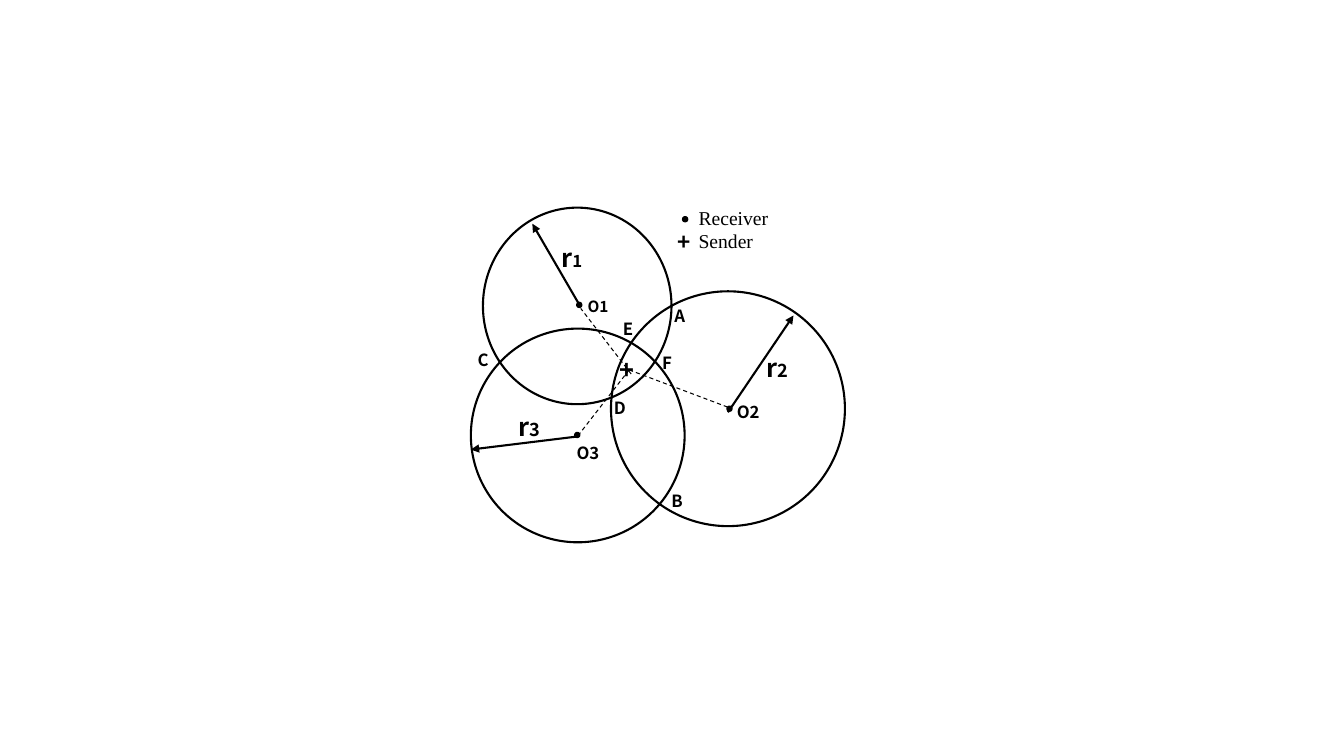
from lxml import etree
from pptx import Presentation
from pptx import util as u
from pptx.dml.color import RGBColor
from pptx.enum import dml, shapes, text
from pptx.oxml.ns import qn

BLACK = "000000"
SANS = "Noto Sans CJK SC"
SERIF = "Times New Roman"


def color(value):
    return RGBColor.from_string(value)


def add_span(para, words, size=12, font=SANS, bold=True, ink=BLACK):
    span = para.add_run()
    span.text = words
    span.font.size = u.Pt(size)
    span.font.name = font
    span.font.bold = bold
    span.font.color.rgb = color(ink)


class Diagram:
    ink = BLACK
    dot_size = 0.05

    def __init__(self, slide):
        self.slide = slide

    def circle(self, left, top, width, height, weight=1.5, fill=None):
        oval = self.slide.shapes.add_shape(
            shapes.MSO_SHAPE.OVAL,
            u.Inches(left), u.Inches(top), u.Inches(width), u.Inches(height))
        oval.shadow.inherit = False
        if fill:
            oval.fill.solid()
            oval.fill.fore_color.rgb = color(fill)
        else:
            oval.fill.background()
        oval.line.color.rgb = color(self.ink)
        oval.line.width = u.Pt(weight)

    def dot(self, left, top):
        self.circle(left, top, self.dot_size, self.dot_size, 1, self.ink)

    def connect(self, start, end, weight):
        line = self.slide.shapes.add_connector(
            shapes.MSO_CONNECTOR.STRAIGHT,
            *(u.Inches(length) for length in (*start, *end)))
        line.line.color.rgb = color(self.ink)
        line.line.width = u.Pt(weight)
        etree.SubElement(line.element.spPr, qn("a:effectLst"))
        return line

    def radius(self, start, end):
        line = self.connect(start, end, 1.5)
        etree.SubElement(line.line._get_or_add_ln(), qn("a:tailEnd"), type="triangle")

    def distance(self, start, end):
        line = self.connect(start, end, 0.75)
        line.line.dash_style = dml.MSO_LINE.DASH

    def label(self, left, top, *lines, width=0.47, height=0.3, **style):
        box = self.slide.shapes.add_textbox(
            u.Inches(left), u.Inches(top), u.Inches(width), u.Inches(height))
        frame = box.text_frame
        frame.word_wrap = True
        frame.auto_size = text.MSO_AUTO_SIZE.SHAPE_TO_FIT_TEXT
        for number, words in enumerate(lines):
            para = frame.add_paragraph() if number else frame.paragraphs[0]
            add_span(para, words, **style)
        return frame.paragraphs[0]

    def radius_label(self, left, top, index, index_size, height=0.4):
        para = self.label(left, top, "r", height=height, size=18)
        add_span(para, index, size=index_size)


def main():
    deck = Presentation()
    deck.slide_width = u.Inches(13.33)
    deck.slide_height = u.Inches(7.5)
    page = Diagram(deck.slides.add_slide(deck.slide_layouts[6]))

    for ring in ((4.79, 2.06, 1.87, 1.95),
                 (6.06, 2.89, 2.32, 2.33),
                 (4.67, 3.26, 2.12, 2.12)):
        page.circle(*ring)

    page.label(6.05, 3.47, "+", width=0.94, height=0.4, size=18)
    for receiver in ((5.72, 3), (5.7, 4.29), (7.21, 4.03)):
        page.dot(*receiver)

    page.radius((7.22, 4.09), (7.87, 3.13))
    page.radius((5.75, 3.03), (5.28, 2.22))
    page.radius((5.73, 4.33), (4.67, 4.46))

    sender = (6.24, 3.67)
    page.distance((6.26, 3.71), (5.76, 3.06))
    page.distance(sender, (7.22, 4.04))
    page.distance(sender, (5.75, 4.3))

    page.radius_label(5.47, 2.36, "1", 12)
    page.radius_label(7.5, 3.45, "2", 13)
    page.radius_label(5.04, 4.03, "3", 13, height=0.62)

    page.label(6.83, 1.99, "Receiver", "Sender", width=1.43, height=0.57,
               size=14, font=SERIF, bold=False)
    page.label(6.62, 2.21, "+", width=0.29, height=0.37, size=16)
    page.dot(6.77, 2.15)

    page.label(5.73, 2.9, "O1", height=0.29, size=11)
    page.label(7.21, 3.94, "O2")
    page.label(5.62, 4.34, "O3", height=0.5)
    for name, left, top in (("A", 6.59, 2.98), ("B", 6.56, 4.82),
                            ("C", 4.64, 3.42), ("D", 5.99, 3.9),
                            ("E", 6.08, 3.11), ("F", 6.47, 3.45)):
        page.label(left, top, name)

    deck.save("out.pptx")


if __name__ == "__main__":
    main()
